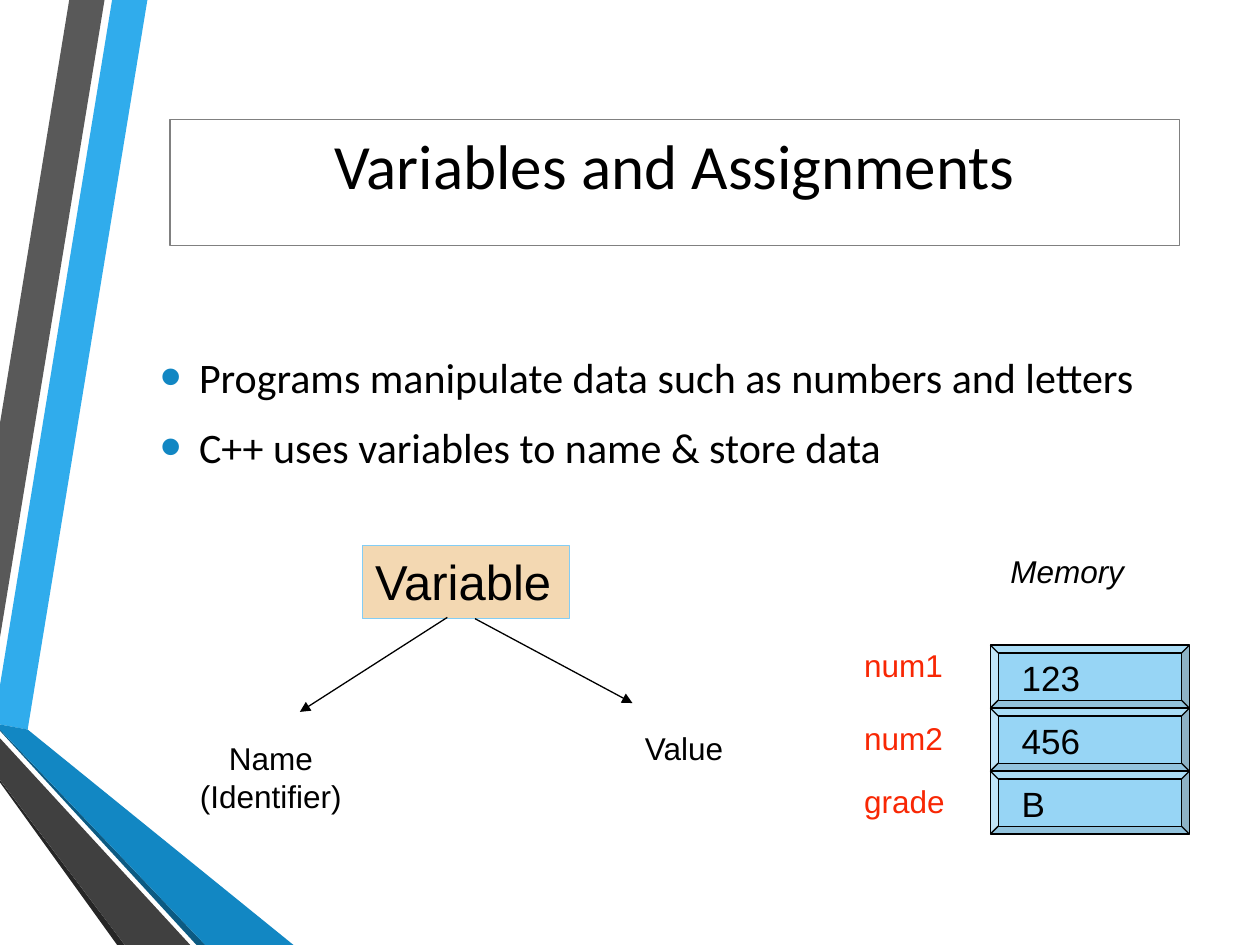
from typing import NamedTuple

import pptx
import pptx.dml.color
import pptx.enum.shapes
import pptx.enum.text
import pptx.oxml
import pptx.oxml.ns
import pptx.util

RGBColor = pptx.dml.color.RGBColor
MSO_SHAPE = pptx.enum.shapes.MSO_SHAPE
ALIGN = pptx.enum.text.PP_ALIGN
ANCHOR = pptx.enum.text.MSO_ANCHOR
Pt = pptx.util.Pt

PX = 9144  # EMU per px, 100 px to the inch

BLACK = RGBColor(0x00, 0x00, 0x00)
WHITE = RGBColor(0xFF, 0xFF, 0xFF)
GRAY = RGBColor(0x80, 0x80, 0x80)
SKY = RGBColor(0x30, 0xAC, 0xEC)
BLUE = RGBColor(0x12, 0x87, 0xC3)
NAVY = RGBColor(0x0C, 0x5A, 0x82)
SLATE = RGBColor(0x59, 0x59, 0x59)
CHARCOAL = RGBColor(0x40, 0x40, 0x40)
SOOT = RGBColor(0x26, 0x26, 0x26)
SAND = RGBColor(0xF3, 0xD8, 0xB2)
PALE_BLUE = RGBColor(0x83, 0xCD, 0xF4)
RED = RGBColor(0xF8, 0x27, 0x04)


class Box(NamedTuple):
    x: int
    y: int
    w: int
    h: int


class Ribbon(NamedTuple):
    color: RGBColor
    points: list[tuple[int, int]]


class Label(NamedTuple):
    text: str
    box: Box
    size: int = 18
    color: RGBColor = BLACK
    italic: bool = False
    align: ALIGN = ALIGN.LEFT


class Cell(NamedTuple):
    name: str
    value: str
    name_y: int


RIBBONS = [
    Ribbon(SKY, [(0, 544), (0, 575), (22, 579), (117, 0), (89, 0)]),
    Ribbon(SLATE, [(83, 0), (55, 0), (0, 336), (0, 506)]),
    Ribbon(SOOT, [(0, 619), (0, 621), (93, 750), (99, 750)]),
    Ribbon(NAVY, [(0, 579), (0, 580), (156, 750), (163, 750)]),
    Ribbon(BLUE, [(0, 579), (163, 750), (233, 750), (22, 579), (0, 575)]),
    Ribbon(CHARCOAL, [(0, 619), (99, 750), (151, 750), (0, 586)]),
]
BULLETS = [
    "Programs manipulate data such as numbers and letters",
    "C++ uses variables to name & store data",
]
LABELS = [
    Label("Name\n(Identifier)", Box(130, 582, 170, 90), align=ALIGN.CENTER),
    Label("Value", Box(502, 574, 106, 50)),
    Label("Memory", Box(792, 433, 141, 50), italic=True),
]
ARROWS = [((355, 490), (238, 565)), ((377, 491), (502, 558))]
CELLS = [Cell("num1", "123", 508), Cell("num2", "456", 566), Cell("grade", "B", 616)]
CELL_X, CELL_Y, CELL_W, CELL_H = 786, 512, 158, 50


def add_xml(parent, xml: str):
    ns = pptx.oxml.ns.nsdecls("a")
    tag, rest = xml.split(" ", 1)
    el = pptx.oxml.parse_xml(f"{tag} {ns} {rest}")
    parent.append(el)


def place(sp, box: Box) -> None:
    sp.left, sp.top, sp.width, sp.height = (v * PX for v in box)


def write(sp, text: str, *, size: int, font: str = "Arial", color: RGBColor = BLACK,
          italic: bool = False, align: ALIGN = ALIGN.LEFT) -> None:
    tf = sp.text_frame
    tf.word_wrap = True
    tf.auto_size = pptx.enum.text.MSO_AUTO_SIZE.NONE
    tf.vertical_anchor = ANCHOR.TOP
    tf.text = text
    for p in tf.paragraphs:
        p.alignment = align
        for r in p.runs:
            r.font.name, r.font.size, r.font.italic = font, Pt(size), italic
            r.font.color.rgb = color


def paint(sp, fill: RGBColor, line: RGBColor | None = None) -> None:
    sp.fill.solid()
    sp.fill.fore_color.rgb = fill
    if line is None:
        sp.line.fill.background()
    else:
        sp.line.color.rgb = line
        sp.line.width = Pt(0.75)
    sp.shadow.inherit = False


def add_ribbon(s, ribbon: Ribbon) -> None:
    fb = s.shapes.build_freeform(*ribbon.points[0], scale=PX)
    fb.add_line_segments(ribbon.points[1:], close=True)
    paint(fb.convert_to_shape(), ribbon.color)


def add_label(s, label: Label) -> None:
    sp = s.shapes.add_textbox(*(v * PX for v in label.box))
    write(sp, label.text, size=label.size, color=label.color,
          italic=label.italic, align=label.align)


def add_arrow(s, start: tuple[int, int], end: tuple[int, int]) -> None:
    kind = pptx.enum.shapes.MSO_CONNECTOR.STRAIGHT
    cx = s.shapes.add_connector(kind, *(v * PX for v in start + end))
    cx.line.color.rgb = BLACK
    cx.line.width = Pt(0.75)
    add_xml(cx.line._get_or_add_ln(), '<a:tailEnd type="triangle"/>')
    add_xml(cx._element.spPr, "<a:effectLst />")


def add_cell(s, cell: Cell, y: int) -> None:
    box = Box(CELL_X, y, CELL_W, CELL_H)
    sp = s.shapes.add_shape(MSO_SHAPE.BEVEL, *(v * PX for v in box))
    sp.adjustments[0] = 0.125
    paint(sp, SKY, BLACK)
    color = sp._element.spPr.find(".//" + pptx.oxml.ns.qn("a:srgbClr"))
    add_xml(color, '<a:alpha val="50000"/>')
    add_label(s, Label(cell.name, Box(676, cell.name_y, 106, 50), color=RED))
    add_label(s, Label(cell.value, Box(801, y + 4, 70, 43), size=20))


def fill_body(body) -> None:
    place(body, Box(117, 195, 843, 364))
    write(body, "\n".join(BULLETS), size=24, font="Calibri")
    body.text_frame.margin_top = 84 * PX
    for p in body.text_frame.paragraphs:
        p.space_before, p.space_after = Pt(0), Pt(11)
        pPr = p._p.get_or_add_pPr()
        pPr.set("marL", str(31 * PX))
        pPr.set("indent", str(-31 * PX))
        add_xml(pPr, f'<a:buClr ><a:srgbClr val="{BLUE}"/></a:buClr>')
        add_xml(pPr, '<a:buSzPct val="145000"/>')
        add_xml(pPr, '<a:buFont typeface="Arial"/>')
        add_xml(pPr, '<a:buChar char="•"/>')


def main() -> None:
    prs = pptx.Presentation()
    prs.slide_width, prs.slide_height = 1000 * PX, 750 * PX
    s = prs.slides.add_slide(prs.slide_layouts[1])

    # Title and bullets
    title = s.shapes.title
    place(title, Box(135, 95, 801, 100))
    sp_title = title
    sp_title.fill.solid()
    sp_title.fill.fore_color.rgb = WHITE
    sp_title.line.color.rgb = GRAY
    sp_title.line.width = Pt(0.75)
    write(title, "Variables and Assignments", size=36, font="Calibri", align=ALIGN.CENTER)
    fill_body(s.placeholders[1])

    # Side ribbons
    for ribbon in RIBBONS:
        add_ribbon(s, ribbon)

    # Variable splits into name and value
    variable = s.shapes.add_shape(MSO_SHAPE.RECTANGLE, 0, 0, PX, PX)
    place(variable, Box(288, 433, 164, 58))
    paint(variable, SAND, PALE_BLUE)
    write(variable, "Variable", size=28)
    for start, end in ARROWS:
        add_arrow(s, start, end)
    for label in LABELS:
        add_label(s, label)

    # Memory cells
    for i, cell in enumerate(CELLS):
        add_cell(s, cell, CELL_Y + i * CELL_H)

    prs.save("out.pptx")


if __name__ == "__main__":
    main()
